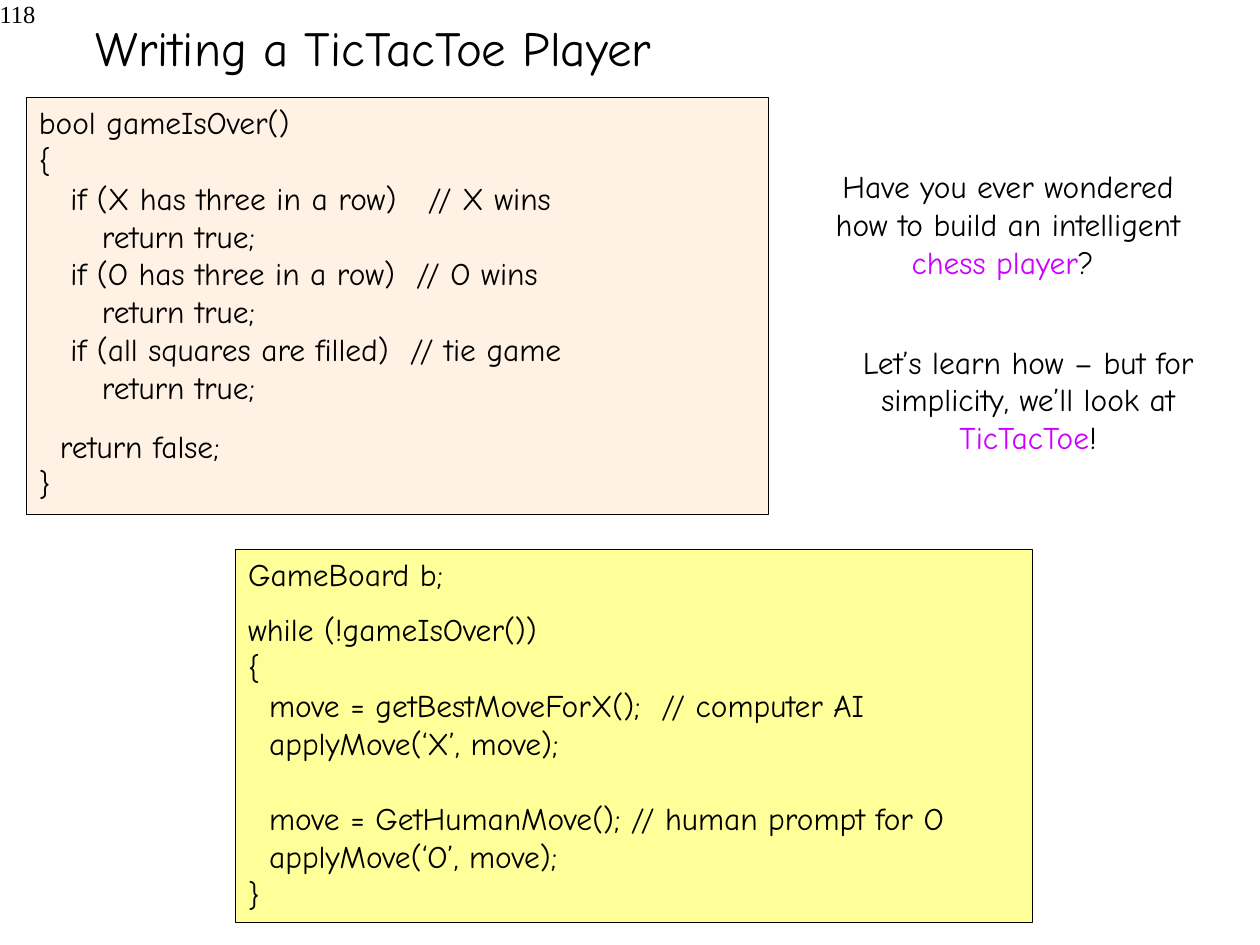
"""Build the TicTacToe player slide."""
from pptx import Presentation
from pptx.dml.color import RGBColor
from pptx.enum import shapes, text
from pptx.util import Inches, Pt

BLACK, PURPLE = "000000", "CC00FF"
LEFT, CENTER, RIGHT = text.PP_ALIGN.LEFT, text.PP_ALIGN.CENTER, text.PP_ALIGN.RIGHT

NUMBER = ("118", (-1.7, -0.06, 2.08, 0.5))
TITLE = ("Writing a TicTacToe Player", (-0.58, -0.25, 7.09, 1.25))

# Each code line is (text, space before in points).
LOOP = [
    ("GameBoard b;", 0),
    ("while (!gameIsOver())", 9.6),
    ("{", 0),
    ("  move = getBestMoveForX();  // computer AI", 0),
    ("  applyMove(‘X’, move);", 0),
    ("  move = GetHumanMove(); // human prompt for O", 21.6),
    ("  applyMove(‘O’, move);", 0),
    ("}", 0),
]
GAME_OVER = [
    ("bool gameIsOver()", 0),
    ("{", 0),
    ("   if (X has three in a row)   // X wins", 0),
    ("      return true;", 0),
    ("   if (O has three in a row)  // O wins", 0),
    ("      return true;", 0),
    ("   if (all squares are filled)  // tie game", 0),
    ("      return true;", 0),
    ("  return false;", 12),
    ("}", 0),
]
CODE = [
    (LOOP, (1.87, 4.36, 6.32, 2.96), "FFFF99"),
    (GAME_OVER, (0.21, 0.77, 5.89, 3.31), "FFF2E5"),
]
REMARKS = [
    ([("Have you ever wondered how to build an intelligent ", BLACK),
      ("chess player", PURPLE), ("? ", BLACK)], (6.36, 1.28, 3.28, 1.01)),
    ([("Let’s learn how – but for simplicity, we’ll look at ", BLACK),
      ("TicTacToe", PURPLE), ("!", BLACK)], (6.52, 2.67, 3.28, 1.01)),
]


def rgb(value):
    return RGBColor.from_string(value)


def write(p, content, size=18, font="Comic Neue", color=BLACK, align=LEFT, before=0):
    p.alignment = align
    p.space_before = Pt(before)
    r = p.add_run()
    r.text = content
    r.font.size = Pt(size)
    r.font.name = font
    r.font.color.rgb = rgb(color)


def add_text(s, box, anchor=text.MSO_ANCHOR.TOP):
    tf = s.shapes.add_textbox(*map(Inches, box)).text_frame
    tf.word_wrap = True
    tf.vertical_anchor = anchor
    return tf.paragraphs[0]


def add_code(s, lines, box, fill):
    sp = s.shapes.add_shape(shapes.MSO_SHAPE.RECTANGLE, *map(Inches, box))
    sp.shadow.inherit = False
    sp.fill.solid()
    sp.fill.fore_color.rgb = rgb(fill)
    sp.line.color.rgb = rgb(BLACK)
    sp.line.width = Pt(0.25)
    tf = sp.text_frame
    tf.word_wrap = True
    tf.vertical_anchor = text.MSO_ANCHOR.TOP
    for i, (line, before) in enumerate(lines):
        p = tf.add_paragraph() if i else tf.paragraphs[0]
        write(p, line, before=before)


def main():
    prs = Presentation()
    prs.slide_width, prs.slide_height = Inches(10), Inches(7.5)
    s = prs.slides.add_slide(prs.slide_layouts[6])

    number, box = NUMBER
    write(add_text(s, box), number, size=14, font="Times New Roman", align=RIGHT)
    for lines, box, fill in CODE:
        add_code(s, lines, box, fill)
    title, box = TITLE
    write(add_text(s, box, text.MSO_ANCHOR.MIDDLE), title, size=28, align=CENTER)
    for runs, box in REMARKS:
        p = add_text(s, box)
        for content, color in runs:
            write(p, content, color=color, align=CENTER)

    prs.save("out.pptx")


if __name__ == "__main__":
    main()
